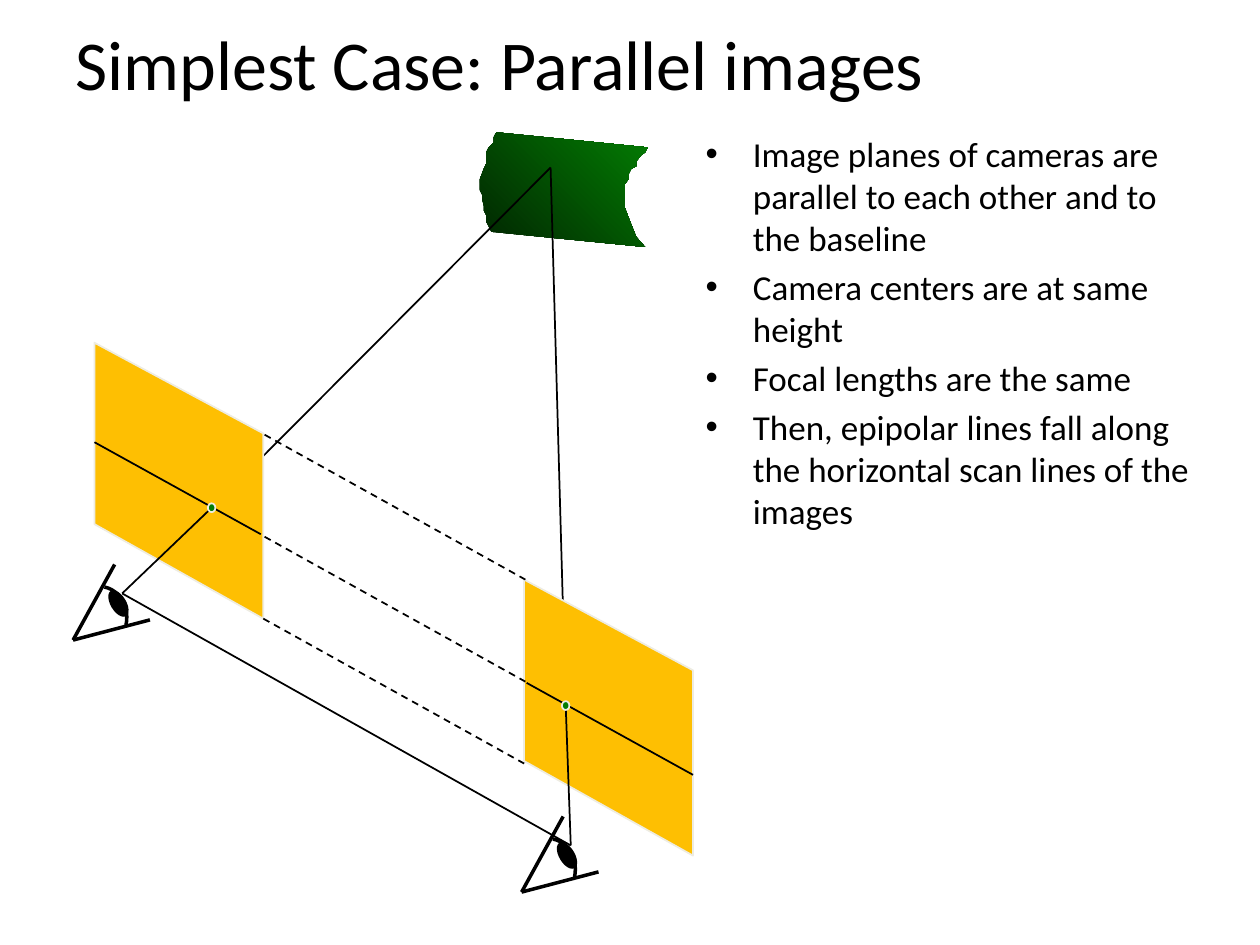
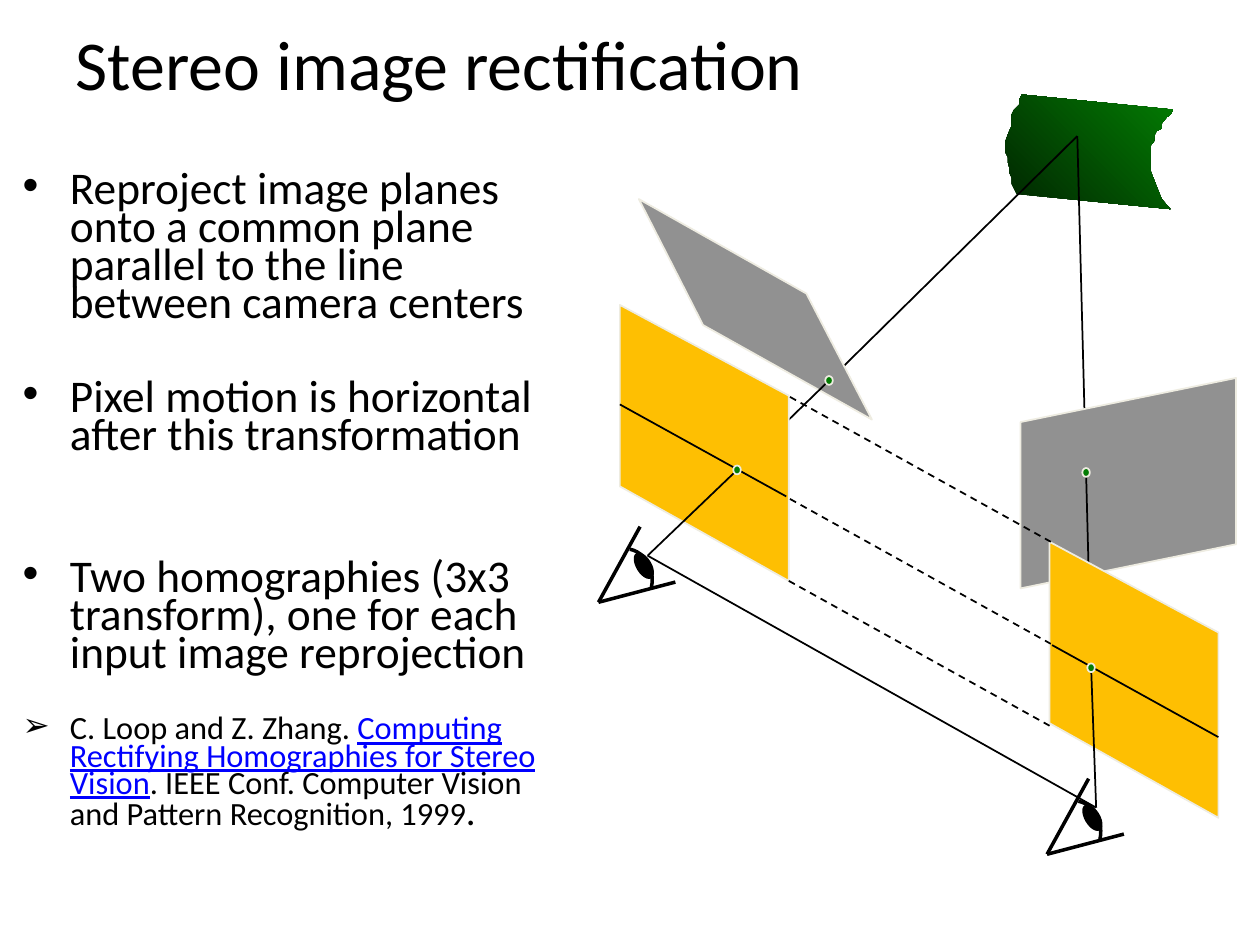
from dataclasses import dataclass
from math import cos, pi, sin

from lxml.etree import SubElement
from pptx import Presentation
from pptx.dml.color import RGBColor
from pptx.enum.dml import MSO_LINE
from pptx.enum.shapes import MSO_CONNECTOR, MSO_SHAPE
from pptx.enum.text import MSO_ANCHOR, MSO_AUTO_SIZE, PP_ALIGN
from pptx.oxml.ns import qn
from pptx.util import Inches, Pt

FONT = "Calibri"
BLACK, BLUE = "000000", "0000FF"
AMBER, GRAY, CREAM = "FEBF02", "919191", "EEECE1"
DARK_GREEN, GREEN = "012501", "037C03"

SURFACE = [
    (3.36, 0), (3.34, 0.04), (3.34, 0.08), (3.3, 0.12), (3.28, 0.16),
    (3.28, 0.25), (3.26, 0.29), (3.23, 0.37), (3.23, 0.46), (3.25, 0.5),
    (3.25, 0.54), (3.26, 0.58), (3.26, 0.62), (3.28, 0.66), (3.28, 0.71),
    (3.3, 0.75), (3.32, 0.79), (4.54, 0.91), (4.47, 0.83), (4.43, 0.73),
    (4.38, 0.6), (4.38, 0.41), (4.41, 0.37), (4.41, 0.33), (4.43, 0.29),
    (4.47, 0.27), (4.47, 0.23), (4.51, 0.18), (4.54, 0.16), (4.56, 0.12),
]
LEFT_PLANE = [(0.17, 3.11), (1.51, 3.86), (1.51, 2.39), (0.17, 1.67)]
PLANE_SHIFT = (3.41, 1.88)
EYE_SHIFT = (3.56, 2)
LEFT_PUPIL = (0.39, 3.66)
LEFT_CORNER = (0, 4.03)
IMAGE_POINTS = [(1.1, 2.98), (3.91, 4.55)]
SCAN_LINE = [(0.17, 2.46), (1.49, 3.19)]
SCAN_SHIFT = (3.43, 1.91)
DASH_STARTS = [(1.52, 2.4), (1.51, 3.86), (1.52, 3.21)]
DASH_SPAN = (2.07, 1.15)


@dataclass
class Camera:
    """One side of the scene; a tilted plane is the camera's own image plane."""
    pupil: tuple
    corner: tuple
    plane: list
    image_point: tuple
    tilted_plane: list = None
    tilted_point: tuple = None


@dataclass
class Box:
    """A region of a page; points given to it are inches from its corner."""
    shapes: object
    left: float
    top: float

    def place(self, point):
        return Inches(self.left + point[0]), Inches(self.top + point[1])


def color(value):
    return RGBColor.from_string(value)


def shift(point, offset):
    return point[0] + offset[0], point[1] + offset[1]


def set_values(target, values):
    for name, value in values.items():
        setattr(target, name, value)


def style_outline(shape, line_color, width=1):
    shape.shadow.inherit = False
    shape.line.color.rgb = color(line_color)
    shape.line.width = Pt(width)


def style_font(font, size, text_color=BLACK, underline=None):
    values = {"name": FONT, "size": Pt(size), "underline": underline}
    set_values(font, values)
    font.color.rgb = color(text_color)


def draw_line(box, start, end, width=1, dash=None):
    line = box.shapes.add_connector(
        MSO_CONNECTOR.STRAIGHT, *box.place(start), *box.place(end))
    line.line.color.rgb = color(BLACK)
    set_values(line.line, {"width": Pt(width), "dash_style": dash})
    SubElement(line._element.spPr, qn("a:effectLst"))


def draw_outline(box, points, close=True):
    first, *others = [box.place(point) for point in points]
    builder = box.shapes.build_freeform(*first)
    builder.add_line_segments(others, close=close)
    return builder.convert_to_shape()


def draw_plane(box, points, fill_color):
    plane = draw_outline(box, points)
    plane.fill.solid()
    plane.fill.fore_color.rgb = color(fill_color)
    style_outline(plane, CREAM)


def draw_ellipse(box, center, size, fill_color, line_color, rotation=0):
    corner = shift(center, (-size[0] / 2, -size[1] / 2))
    ellipse = box.shapes.add_shape(
        MSO_SHAPE.OVAL, *box.place(corner), Inches(size[0]), Inches(size[1]))
    ellipse.fill.solid()
    ellipse.fill.fore_color.rgb = color(fill_color)
    ellipse.rotation = rotation
    style_outline(ellipse, line_color)


def draw_dot(box, center):
    draw_ellipse(box, center, (0.06, 0.07), GREEN, CREAM)


def draw_surface(box):
    surface = draw_outline(box, SURFACE)
    surface.shadow.inherit = False
    surface.line.fill.background()
    surface.fill.gradient()
    surface.fill.gradient_angle = 45
    for stop, value in zip(surface.fill.gradient_stops, (DARK_GREEN, GREEN)):
        stop.color.rgb = color(value)


def draw_eye(box, corner):
    """Draw an eye whose lids meet at the given corner."""
    steps = 12
    angles = [pi / 2 * step / steps for step in range(steps + 1)]
    arc_start = shift(corner, (0.22, -0.4))
    curve = [shift(arc_start, (0.23 * sin(angle), 0.26 * (1 - cos(angle))))
             for angle in angles]
    cornea = draw_outline(box, curve, close=False)
    cornea.fill.background()
    cornea.rotation = 12
    style_outline(cornea, BLACK, 2)
    draw_ellipse(box, shift(corner, (0.36, -0.29)), (0.11, 0.22),
                 BLACK, BLACK, 329)
    for lid_end in [(0.33, -0.6), (0.61, -0.16)]:
        draw_line(box, corner, shift(corner, lid_end), 2)


def draw_camera(box, camera, apex):
    """Draw the ray from the surface to the eye, with the planes it crosses."""
    draw_line(box, camera.tilted_point or camera.image_point, apex)
    if camera.tilted_plane:
        draw_plane(box, camera.tilted_plane, GRAY)
        draw_line(box, camera.image_point, camera.tilted_point)
        draw_dot(box, camera.tilted_point)
    draw_plane(box, camera.plane, AMBER)
    draw_line(box, camera.pupil, camera.image_point)
    draw_eye(box, camera.corner)


def draw_scene(box, apex, tilted=((None, None), (None, None))):
    """Draw two cameras looking at one point of a surface."""
    left = Camera(LEFT_PUPIL, LEFT_CORNER, LEFT_PLANE,
                  IMAGE_POINTS[0], *tilted[0])
    right = Camera(shift(LEFT_PUPIL, EYE_SHIFT), shift(LEFT_CORNER, EYE_SHIFT),
                   [shift(point, PLANE_SHIFT) for point in LEFT_PLANE],
                   IMAGE_POINTS[1], *tilted[1])
    draw_surface(box)
    draw_line(box, left.pupil, right.pupil)
    for camera in (left, right):
        draw_camera(box, camera, apex)
    for start in DASH_STARTS:
        draw_line(box, start, shift(start, DASH_SPAN), dash=MSO_LINE.DASH)
    for offset in [(0, 0), SCAN_SHIFT]:
        draw_line(box, *[shift(point, offset) for point in SCAN_LINE])
    for point in IMAGE_POINTS:
        draw_dot(box, point)


def place_holder(holder, left, top, width, height, anchor):
    set_values(holder, {"left": Inches(left), "top": Inches(top),
                        "width": Inches(width), "height": Inches(height)})
    set_values(holder.text_frame, {
        "word_wrap": True, "auto_size": MSO_AUTO_SIZE.NONE,
        "vertical_anchor": anchor})


def add_page(deck, title):
    page = deck.slides.add_slide(deck.slide_layouts[1])
    holder = page.shapes.title
    place_holder(holder, 0.5, 0, 9, 1, MSO_ANCHOR.MIDDLE)
    para = holder.text_frame.paragraphs[0]
    para.alignment = PP_ALIGN.LEFT
    span = para.add_run()
    span.text = title
    style_font(span.font, 40)
    return page


def fill_list(page, place, items):
    """Fill the body with (bullet, paragraph format, spans) items."""
    body = page.placeholders[1]
    place_holder(body, *place, MSO_ANCHOR.TOP)
    frame = body.text_frame
    for number, (bullet, layout, spans) in enumerate(items):
        para = frame.add_paragraph() if number else frame.paragraphs[0]
        set_values(para, layout)
        properties = para._p.get_or_add_pPr()
        SubElement(properties, qn("a:buFont")).set("typeface", "Arial")
        SubElement(properties, qn("a:buChar")).set("char", bullet)
        for text, *style in spans:
            span = para.add_run()
            span.text = text
            style_font(span.font, *style)


def build_parallel_page(deck):
    page = add_page(deck, "Simplest Case: Parallel images")
    points = [
        "Image planes of cameras are parallel to each other and to the baseline",
        "Camera centers are at same height",
        "Focal lengths are the same",
        "Then, epipolar lines fall along the horizontal scan lines of the images",
    ]
    fill_list(page, (5.5, 1, 4.17, 5.75),
              [("•", {"space_before": Pt(4)}, [(text, 20)]) for text in points])
    draw_scene(Box(page.shapes, 0.58, 1.05), apex=(3.79, 0.28))


def build_rectification_page(deck):
    page = add_page(deck, "Stereo image rectification")
    points = [
        (5.2, "Reproject image planes onto a common plane parallel to the line "
              "between camera centers"),
        (32, "Pixel motion is horizontal after this transformation"),
        (59, "Two homographies (3x3 transform), one for each input image "
             "reprojection"),
    ]
    items = [("•", {"space_before": Pt(gap), "line_spacing": 0.7},
              [(text, 25.9)]) for gap, text in points]
    items.append(("➢", {"space_before": Pt(24), "line_spacing": 0.7}, [
        ("C. Loop and Z. Zhang. ", 18.5),
        ("Computing Rectifying Homographies for Stereo Vision",
         18.5, BLUE, True),
        (". IEEE Conf. Computer Vision and Pattern Recognition, 1999", 18.5),
        (".", 22.2),
    ]))
    fill_list(page, (0.08, 1.33, 4.58, 6.06), items)
    tilted_left = [(0.83, 1.83), (2.17, 2.58), (1.65, 1.58), (0.32, 0.83)]
    tilted_right = [(3.35, 2.6), (3.35, 3.92), (5.06, 3.57), (5.06, 2.25)]
    draw_scene(Box(page.shapes, 4.75, 0.75), apex=(3.8, 0.33),
               tilted=((tilted_left, (1.83, 2.27)), (tilted_right, (3.87, 3))))


def main():
    deck = Presentation()
    set_values(deck, {"slide_width": Inches(10), "slide_height": Inches(7.5)})
    build_parallel_page(deck)
    build_rectification_page(deck)
    deck.save("out.pptx")


if __name__ == "__main__":
    main()
